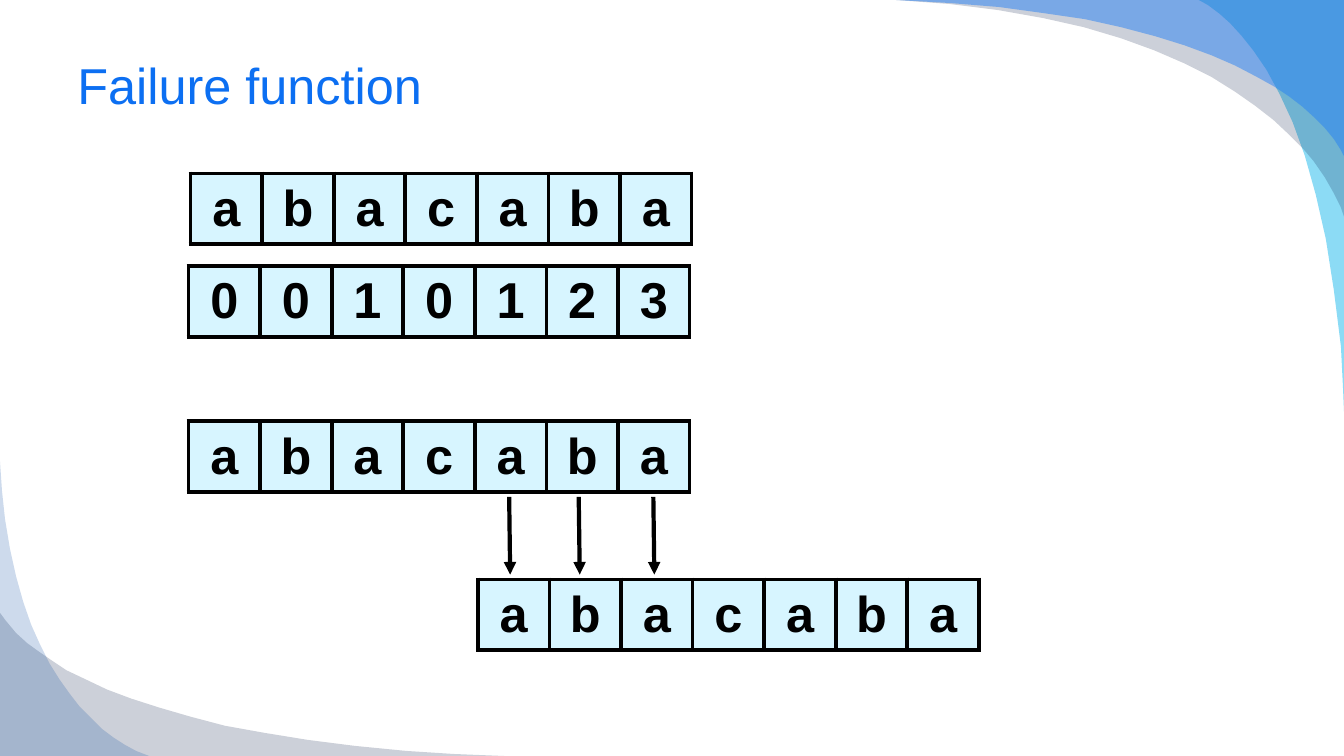
from lxml import etree
from pptx import Presentation
from pptx.dml.color import RGBColor
from pptx.enum import shapes, text
from pptx.oxml import ns
from pptx.util import Inches, Pt

COLORS = {
    "title": "0C6FF2", "ink": "000000", "cell": "D7F5FF",
    "cyan": "00B1E9", "navy": "021741", "blue": "247FF4", "deep": "084AA1",
}
CELL_W, CELL_H = 0.71, 0.7


def write(frame, words, color="ink", size=36, bold=False, align=text.PP_ALIGN.LEFT):
    paragraph = frame.paragraphs[0]
    paragraph.alignment = align
    run = paragraph.add_run()
    run.text = words
    run.font.name = "Arial"
    run.font.size = Pt(size)
    run.font.bold = bold
    run.font.color.rgb = RGBColor.from_string(COLORS[color])


def add_xml(parent, tag, **attributes):
    return etree.SubElement(parent, ns.qn(tag), **attributes)


deck = Presentation()
deck.slide_width, deck.slide_height = Inches(13.33), Inches(7.5)
slide = deck.slides.add_slide(deck.slide_layouts[6])

# Corner waves: color, opacity in percent, corner, curved edge
waves = [
    ("cyan", 45, (13.33, 0),
     [(11.89, 0), (11.98, 0.05), (12.1, 0.14), (12.2, 0.23), (12.31, 0.35), (12.43, 0.5),
      (12.56, 0.69), (12.69, 0.93), (12.82, 1.21), (12.94, 1.54), (13.05, 1.93),
      (13.15, 2.37), (13.23, 2.88), (13.3, 3.44), (13.32, 3.84), (13.33, 4.08)]),
    ("navy", 20, (13.33, 0),
     [(8.89, 0), (9.42, 0.04), (9.9, 0.1), (10.35, 0.18), (10.75, 0.27), (11.12, 0.38),
      (11.45, 0.5), (11.75, 0.63), (12.01, 0.76), (12.25, 0.91), (12.45, 1.05),
      (12.63, 1.19), (12.79, 1.34), (12.92, 1.47), (13.03, 1.6), (13.14, 1.76),
      (13.22, 1.9), (13.3, 2.06), (13.33, 2.15)]),
    ("blue", 49, (13.33, 0),
     [(8.89, 0), (9.42, 0.03), (9.91, 0.07), (10.35, 0.13), (10.76, 0.19), (11.12, 0.27),
      (11.46, 0.36), (11.75, 0.45), (12.02, 0.55), (12.25, 0.65), (12.46, 0.76),
      (12.64, 0.86), (12.79, 0.96), (12.92, 1.06), (13.03, 1.16), (13.14, 1.27),
      (13.23, 1.38), (13.3, 1.49), (13.33, 1.55)]),
    ("navy", 20, (0, 7.5),
     [(0, 6.08), (0.06, 6.16), (0.16, 6.28), (0.27, 6.38), (0.38, 6.46), (0.51, 6.55),
      (0.66, 6.65), (0.85, 6.74), (1.06, 6.84), (1.3, 6.93), (1.58, 7.02), (1.89, 7.11),
      (2.23, 7.2), (2.62, 7.27), (3.05, 7.34), (3.52, 7.4), (4.03, 7.45), (4.5, 7.48),
      (5, 7.5)]),
    ("deep", 20, (0, 7.5),
     [(0, 4.58), (0.02, 4.87), (0.05, 5.15), (0.1, 5.45), (0.16, 5.72), (0.23, 5.97),
      (0.31, 6.2), (0.4, 6.4), (0.49, 6.58), (0.59, 6.74), (0.69, 6.88), (0.79, 7.01),
      (0.89, 7.11), (1.01, 7.23), (1.13, 7.32), (1.24, 7.39), (1.35, 7.45), (1.48, 7.5)]),
]
for color, opacity, corner, edge in waves:
    outline = [(Inches(x), Inches(y)) for x, y in edge]
    builder = slide.shapes.build_freeform(Inches(corner[0]), Inches(corner[1]))
    builder.add_line_segments(outline, close=True)
    wave = builder.convert_to_shape()
    wave.shadow.inherit = False
    wave.line.fill.background()
    wave.fill.solid()
    wave.fill.fore_color.rgb = RGBColor.from_string(COLORS[color])
    tint = wave.fill._xPr.find(".//" + ns.qn("a:srgbClr"))
    add_xml(tint, "a:alpha", val=str(opacity * 1000))

# Title
title = slide.shapes.add_textbox(Inches(0.67), Inches(0.33), Inches(12), Inches(1.01)).text_frame
title.word_wrap = True
title.vertical_anchor = text.MSO_ANCHOR.MIDDLE
write(title, "Failure function", color="title")

# String, its failure values, then the string over its shifted copy
strips = [
    ("abacaba", 1.89, 1.72),
    ("0010123", 1.87, 2.64),
    ("abacaba", 1.87, 4.18),
    ("abacaba", 4.74, 5.75),
]
for symbols, left, top in strips:
    strip = slide.shapes.add_table(
        1, len(symbols), Inches(left), Inches(top),
        Inches(CELL_W * len(symbols)), Inches(CELL_H)).table
    for column, symbol in enumerate(symbols):
        strip.columns[column].width = Inches(CELL_W)
        cell = strip.cell(0, column)
        cell.vertical_anchor = text.MSO_ANCHOR.MIDDLE
        write(cell.text_frame, symbol, bold=True, align=text.PP_ALIGN.CENTER)
        properties = cell._tc.get_or_add_tcPr()
        for side in ("a:lnL", "a:lnR", "a:lnT", "a:lnB"):
            border = add_xml(properties, side, w=str(Pt(3)))
            add_xml(add_xml(border, "a:solidFill"), "a:srgbClr", val=COLORS["ink"])
        cell.fill.solid()
        cell.fill.fore_color.rgb = RGBColor.from_string(COLORS["cell"])

# Arrows from the matching suffix to the prefix
for x in (5.05, 5.74, 6.48):
    arrow = slide.shapes.add_connector(
        shapes.MSO_CONNECTOR.STRAIGHT, Inches(x), Inches(4.93), Inches(x + 0.01), Inches(5.7))
    arrow.line.width = Pt(3)
    arrow.line.color.rgb = RGBColor.from_string(COLORS["ink"])
    add_xml(arrow.line._get_or_add_ln(), "a:tailEnd", type="triangle")
    add_xml(arrow._element.spPr, "a:effectLst")

deck.save("out.pptx")
